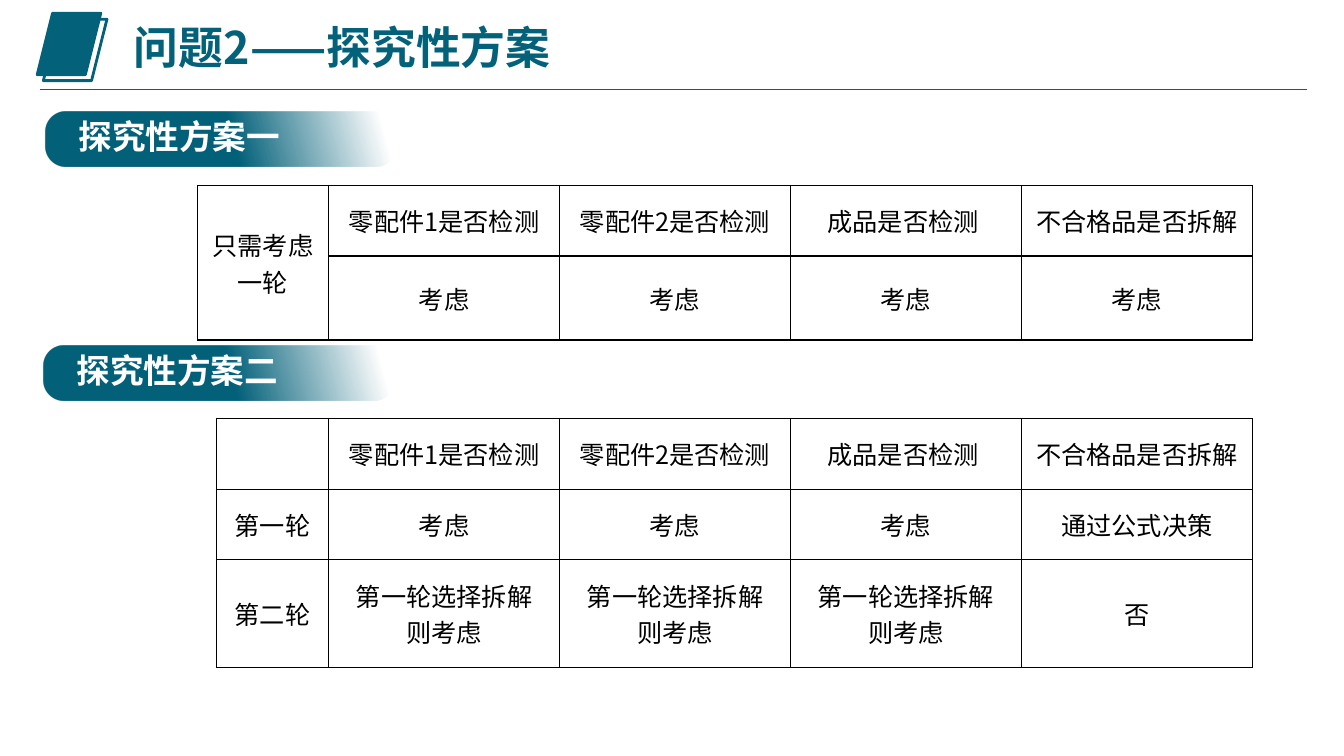
from lxml import etree
from pptx import Presentation
from pptx.dml.color import RGBColor
from pptx.enum import shapes, text
from pptx.oxml import ns
from pptx.util import Pt

# Content
TITLE = "问题2——探究性方案"
QUESTIONS = ["零配件1是否检测", "零配件2是否检测", "成品是否检测 ", "不合格品是否拆解"]
SECOND_ROUND = "第一轮选择拆解\n则考虑"
PLANS = [
    {
        "name": "探究性方案一",
        "badge": (32.4, 79.9),
        "table": (141, 132.5),
        "first_col": 93.7,
        "row_heights": [50.4, 60],
        "rows": [["只需考虑\n一轮"] + QUESTIONS, [""] + ["考虑"] * 4],
        "merge_first_col": True,
    },
    {
        "name": "探究性方案二",
        "badge": (31, 247),
        "table": (154.7, 299),
        "first_col": 80,
        "row_heights": [50.4, 50.4, 77],
        "rows": [
            [""] + QUESTIONS,
            ["第一轮"] + ["考虑"] * 3 + ["通过公式决策"],
            ["第二轮"] + [SECOND_ROUND] * 3 + ["否"],
        ],
        "merge_first_col": False,
    },
]

THEME = {
    "font": "Noto Sans CJK SC",
    "teal": "03617A",
    "white": "FFFFFF",
    "black": "000000",
    "title": 32,
    "badge": 24,
    "cell": 18,
}
QUESTION_COL = 165
BADGE_SIZE = (250.6, 39.2)
BADGE_STOPS = [(0, 100), (53, 100), (95, 0)]  # position and opacity, percent
BADGE_ANGLE = 345
BADGE_CORNER = 0.37


def color(name):
    return RGBColor.from_string(THEME[name])


def sub(parent, tag, **attributes):
    return etree.SubElement(parent, ns.qn(tag), attributes)


def style_runs(frame, size, color_name, bold=False):
    for paragraph in frame.paragraphs:
        for run in paragraph.runs:
            run.font.name = THEME["font"]
            run.font.size = Pt(size)
            run.font.bold = bold
            run.font.color.rgb = color(color_name)
            sub(run.font._element, "a:ea", typeface=THEME["font"])


def add_heading(slide, wording, box, size, color_name):
    heading = slide.shapes.add_textbox(*map(Pt, box)).text_frame
    heading.word_wrap = True
    heading.text = wording
    heading.paragraphs[0].line_spacing = 0.9
    heading.paragraphs[0].space_before = Pt(10)
    style_runs(heading, size, color_name, bold=True)


def add_page(slide, left, top, filled):
    page = slide.shapes.add_shape(
        shapes.MSO_SHAPE.PARALLELOGRAM, Pt(left), Pt(top), Pt(45.4), Pt(43.9))
    page.shadow.inherit = False
    if filled:
        page.fill.solid()
        page.fill.fore_color.rgb = color("teal")
    else:
        page.fill.background()
    page.line.color.rgb = color("teal")
    page.line.width = Pt(2)


def add_badge(slide, wording, left, top):
    badge = slide.shapes.add_shape(
        shapes.MSO_SHAPE.ROUNDED_RECTANGLE, Pt(left), Pt(top), *map(Pt, BADGE_SIZE))
    badge.adjustments[0] = BADGE_CORNER
    badge.shadow.inherit = False
    badge.line.fill.background()
    # Gradient that fades to transparent
    badge.fill.gradient()
    gradient = badge._element.spPr.find(ns.qn("a:gradFill"))
    for child in list(gradient):
        gradient.remove(child)
    stops = sub(gradient, "a:gsLst")
    for position, opacity in BADGE_STOPS:
        stop = sub(stops, "a:gs", pos=str(position * 1000))
        shade = sub(stop, "a:srgbClr", val=THEME["teal"])
        sub(shade, "a:alpha", val=str(opacity * 1000))
    sub(gradient, "a:lin", ang=str(BADGE_ANGLE * 60000), scaled="0")
    add_heading(slide, wording, (left + 16.6, top + 2.9, 165, 36), THEME["badge"], "white")


def add_borders(cell):
    properties = cell._tc.get_or_add_tcPr()
    for index, side in enumerate(("a:lnL", "a:lnR", "a:lnT", "a:lnB")):
        border = etree.Element(ns.qn(side), w=str(Pt(1)))
        sub(sub(border, "a:solidFill"), "a:srgbClr", val=THEME["black"])
        properties.insert(index, border)


def add_plan_table(slide, plan):
    rows = plan["rows"]
    widths = [plan["first_col"]] + [QUESTION_COL] * len(QUESTIONS)
    heights = plan["row_heights"]
    grid = slide.shapes.add_table(
        len(rows), len(widths), *map(Pt, plan["table"]),
        Pt(sum(widths)), Pt(sum(heights))).table
    grid.first_row = grid.horz_banding = False
    for column, width in zip(grid.columns, widths):
        column.width = Pt(width)
    for row, height in zip(grid.rows, heights):
        row.height = Pt(height)
    for r, row in enumerate(rows):
        for c, wording in enumerate(row):
            cell = grid.cell(r, c)
            cell.text_frame.text = wording
            cell.vertical_anchor = text.MSO_ANCHOR.MIDDLE
            cell.fill.background()
            for paragraph in cell.text_frame.paragraphs:
                paragraph.alignment = text.PP_ALIGN.CENTER
            style_runs(cell.text_frame, THEME["cell"], "black")
            add_borders(cell)
    if plan["merge_first_col"]:
        grid.cell(0, 0).merge(grid.cell(len(rows) - 1, 0))


def main():
    deck = Presentation()
    deck.slide_width, deck.slide_height = Pt(960), Pt(540)
    slide = deck.slides.add_slide(deck.slide_layouts[6])

    # Header
    add_page(slide, 26.6, 9.4, filled=True)
    add_page(slide, 31, 13.7, filled=False)
    rule = slide.shapes.add_connector(
        shapes.MSO_CONNECTOR.STRAIGHT, Pt(28.8), Pt(64.1), Pt(933.8), Pt(64.1))
    rule.line.color.rgb = color("teal")
    rule.line.width = Pt(0.75)
    sub(rule._element.spPr, "a:effectLst")
    add_heading(slide, TITLE, (88.6, 15.1, 623.5, 48.2), THEME["title"], "teal")

    # Plans
    for plan in PLANS:
        add_badge(slide, plan["name"], *plan["badge"])
        add_plan_table(slide, plan)

    deck.save("out.pptx")


if __name__ == "__main__":
    main()
